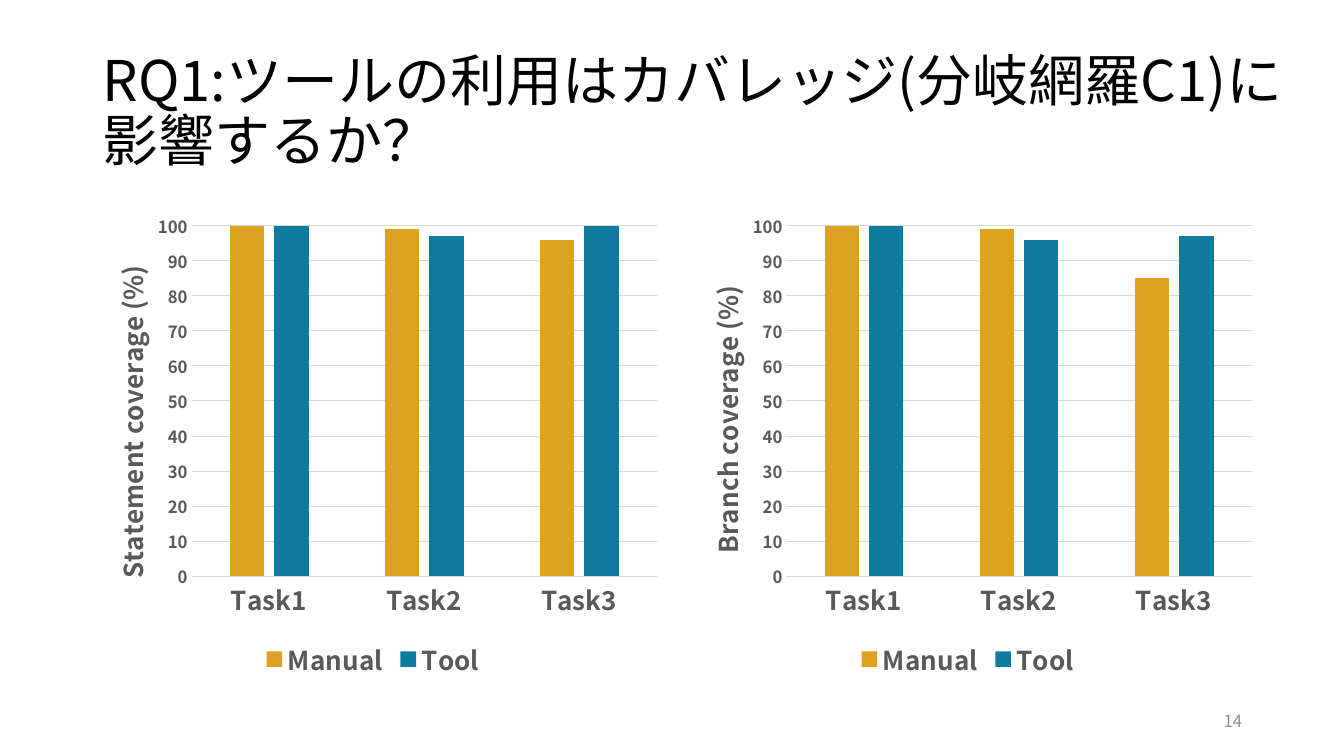
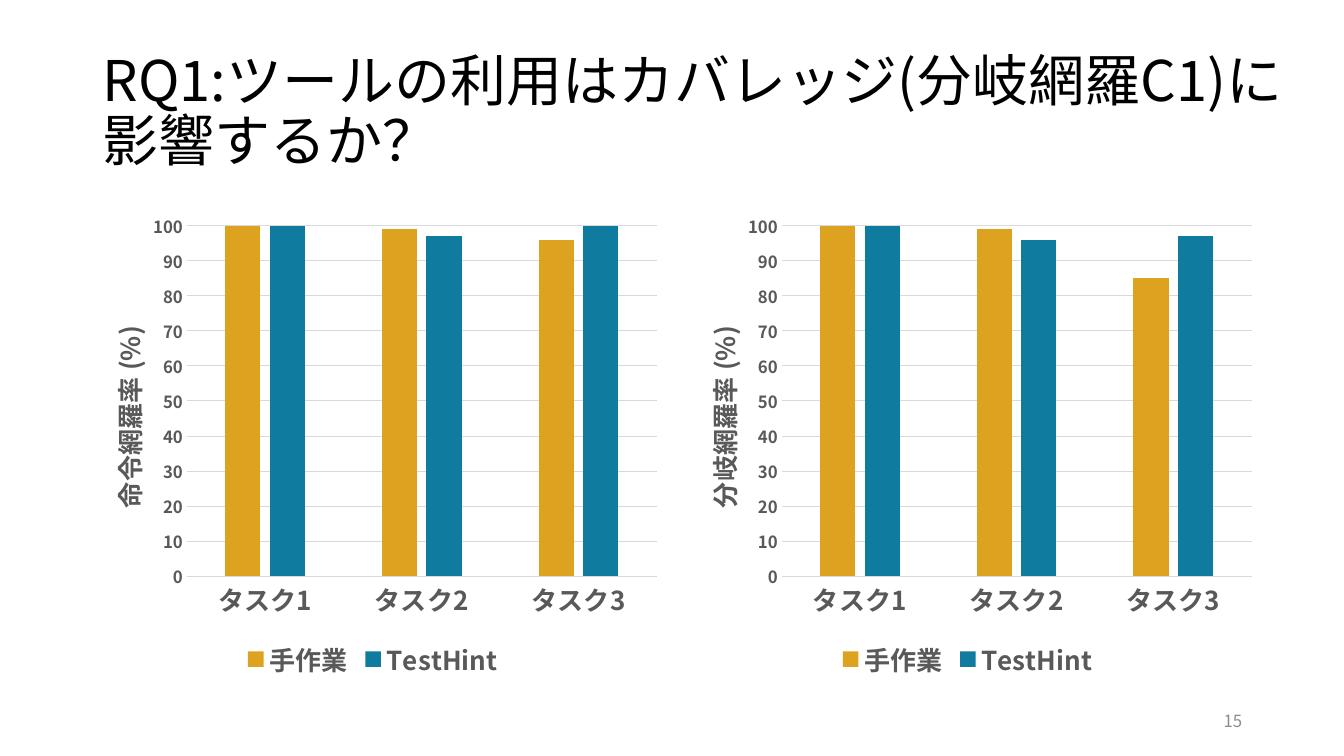
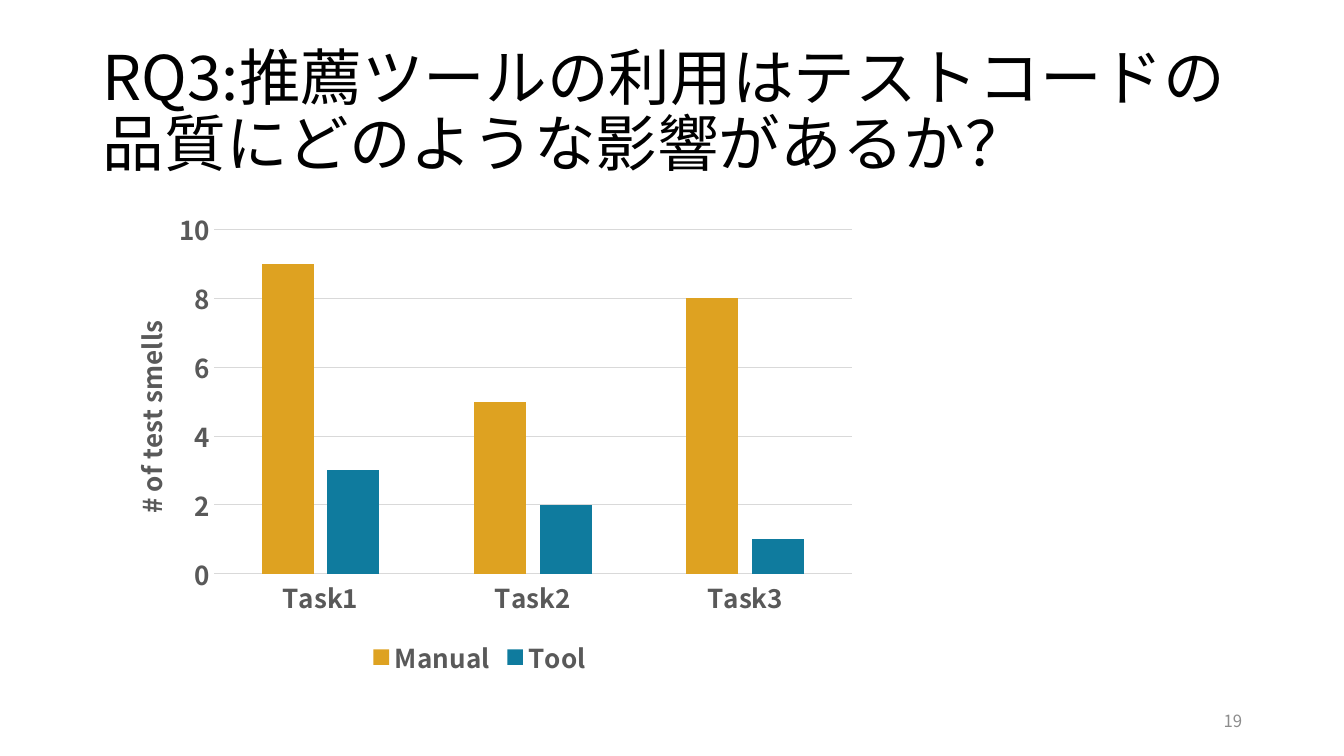
from lxml.etree import SubElement
from pptx import Presentation
from pptx.chart.data import CategoryChartData
from pptx.dml.color import RGBColor
from pptx.enum.chart import XL_CHART_TYPE as ChartType
from pptx.enum.chart import XL_LEGEND_POSITION as LegendPosition
from pptx.enum.chart import XL_TICK_MARK as TickMark
from pptx.enum.text import MSO_ANCHOR as Anchor
from pptx.enum.text import MSO_AUTO_SIZE as AutoSize
from pptx.enum.text import PP_ALIGN as Align
from pptx.oxml.ns import qn
from pptx.util import Inches, Pt

FONT = "Noto Sans CJK JP"
BLACK = RGBColor(0x00, 0x00, 0x00)
CHART_GRAY = RGBColor(0x59, 0x59, 0x59)
GRID_GRAY = RGBColor(0xD9, 0xD9, 0xD9)
NUMBER_GRAY = RGBColor(0x8C, 0x8C, 0x8C)
MANUAL_GOLD = RGBColor(0xDE, 0xA2, 0x21)
TOOL_BLUE = RGBColor(0x0F, 0x7B, 0x9E)

LABEL_SIZE = 18.6
CHART_HEIGHT = 4.76
PAIR_LEFT, PAIR_TOP, PAIR_WIDTH = 0.75, 2.02, 5.9

COVERAGE_TITLE = "RQ1:ツールの利用はカバレッジ(分岐網羅C1)に影響するか？"
SMELL_TITLE = "RQ3:推薦ツールの利用はテストコードの品質にどのような影響があるか？"
TASKS = ["Task1", "Task2", "Task3"]
TASKS_JA = ["タスク1", "タスク2", "タスク3"]
METHODS = ["Manual", "Tool"]
METHODS_JA = ["手作業", "TestHint"]
STATEMENT_COVERAGE = [(100, 99, 96), (100, 97, 100)]
BRANCH_COVERAGE = [(100, 99, 85), (100, 96, 97)]
TEST_SMELLS = [(9, 5, 8), (3, 2, 1)]


def style_font(font, size, color=CHART_GRAY, bold=False):
    """Set the format, with one typeface for Latin and Japanese text."""
    font.size = Pt(size)
    font.bold = bold
    font.color.rgb = color
    font.name = FONT
    SubElement(font._rPr, qn("a:ea"), typeface=FONT)


def write(frame, text, size, color, bold=False, align=Align.LEFT, spacing=1.0):
    paragraph = frame.paragraphs[0]
    paragraph.alignment = align
    paragraph.line_spacing = spacing
    run = paragraph.add_run()
    run.text = text
    style_font(run.font, size, color, bold)


def add_titled_slide(deck, title, number, size=40, width=12.01):
    slide = deck.slides.add_slide(deck.slide_layouts[5])
    heading = slide.shapes.title
    heading.left, heading.top = Inches(0.92), Inches(0.4)
    heading.width, heading.height = Inches(width), Inches(1.45)
    frame = heading.text_frame
    frame.word_wrap = True
    frame.auto_size = AutoSize.NONE
    frame.vertical_anchor = Anchor.MIDDLE
    write(frame, title, size, BLACK, spacing=0.9)

    page = slide.shapes.add_textbox(
        Inches(9.42), Inches(6.95), Inches(3), Inches(0.4)).text_frame
    page.word_wrap = True
    page.vertical_anchor = Anchor.MIDDLE
    write(page, str(number), 12, NUMBER_GRAY, align=Align.RIGHT)
    return slide


def place(element, index, inner=False, **fractions):
    """Fix the position of a chart part, in fractions of the chart."""
    layout = element.find(qn("c:layout"))
    if layout is None:
        layout = SubElement(element, qn("c:layout"))
        element.insert(index, layout)
    manual = SubElement(layout, qn("c:manualLayout"))
    if inner:
        SubElement(manual, qn("c:layoutTarget"), val="inner")
    for axis in "xy":
        SubElement(manual, qn(f"c:{axis}Mode"), val="edge")
    for side, value in fractions.items():
        SubElement(manual, qn(f"c:{side}"), val=str(value))


def style_axis(axis, size):
    axis.major_tick_mark = axis.minor_tick_mark = TickMark.NONE
    style_font(axis.tick_labels.font, size, bold=True)


def style_line(line):
    line.color.rgb = GRID_GRAY
    line.width = Pt(0.75)


def add_axis_title(axis, text, x, y):
    axis_title = axis.axis_title
    frame = axis_title.text_frame
    write(frame, text, LABEL_SIZE, CHART_GRAY, bold=True, align=Align.CENTER)
    body = frame._txBody.find(qn("a:bodyPr"))
    body.set("rot", "-5400000")
    body.set("vert", "horz")
    place(axis_title._element, 1, x=x, y=y)


def add_column_chart(slide, left, top, width, tasks, methods, values, axis_text,
                     title_at, plot_at, maximum, step, value_size=12, gap=219):
    data = CategoryChartData()
    data.categories = tasks
    for method, results in zip(methods, values):
        data.add_series(method, results)
    chart = slide.shapes.add_chart(
        ChartType.COLUMN_CLUSTERED, Inches(left), Inches(top),
        Inches(width), Inches(CHART_HEIGHT), data).chart
    style_font(chart.font, 10, BLACK)
    chart.has_title = False
    chart.has_legend = True
    chart.legend.position = LegendPosition.BOTTOM
    chart.legend.include_in_layout = False
    style_font(chart.legend.font, LABEL_SIZE, bold=True)

    plot = chart.plots[0]
    plot.gap_width, plot.overlap = gap, -27
    plot.vary_by_categories = False
    for series, color in zip(plot.series, (MANUAL_GOLD, TOOL_BLUE)):
        series.format.fill.solid()
        series.format.fill.fore_color.rgb = color

    style_axis(chart.category_axis, LABEL_SIZE)
    style_line(chart.category_axis.format.line)
    value_axis = chart.value_axis
    style_axis(value_axis, value_size)
    value_axis.format.line.fill.background()
    value_axis.minimum_scale, value_axis.maximum_scale = 0, maximum
    value_axis.major_unit = step
    style_line(value_axis.major_gridlines.format.line)
    add_axis_title(value_axis, axis_text, *title_at)

    x, y, w, h = plot_at
    plot_area = chart._chartSpace.chart.plotArea
    place(plot_area, 0, inner=True, x=x, y=y, w=w, h=h)


def add_coverage_slide(deck, number, tasks, methods, axis_titles, title_x, plot_x):
    """Show statement and branch coverage side by side."""
    slide = add_titled_slide(deck, COVERAGE_TITLE, number)
    results = (STATEMENT_COVERAGE, BRANCH_COVERAGE)
    for column, (values, (text, title_y)) in enumerate(zip(results, axis_titles)):
        add_column_chart(
            slide, PAIR_LEFT + column * PAIR_WIDTH, PAIR_TOP, PAIR_WIDTH,
            tasks, methods, values, text, title_at=(title_x, title_y),
            plot_at=(plot_x, 0.046, round(0.977 - plot_x, 3), 0.731),
            maximum=100, step=10)


def add_smell_slide(deck, number):
    slide = add_titled_slide(deck, SMELL_TITLE, number, size=44, width=11.5)
    add_column_chart(
        slide, 0.92, 2, 7.68, TASKS, METHODS, TEST_SMELLS, "# of test smells",
        title_at=(0.04, 0.238), plot_at=(0.157, 0.058, 0.823, 0.718),
        maximum=10, step=2, value_size=LABEL_SIZE, gap=183)


def main():
    deck = Presentation()
    deck.slide_width, deck.slide_height = Inches(13.33), Inches(7.5)
    add_coverage_slide(
        deck, 14, TASKS, METHODS,
        [("Statement coverage (%)", 0.119), ("Branch coverage (%)", 0.161)],
        title_x=0.05, plot_x=0.195)
    add_coverage_slide(
        deck, 15, TASKS_JA, METHODS_JA,
        [("命令網羅率 (%)", 0.245), ("分岐網羅率 (%)", 0.245)],
        title_x=0.045, plot_x=0.187)
    add_smell_slide(deck, 19)
    deck.save("out.pptx")


if __name__ == "__main__":
    main()
